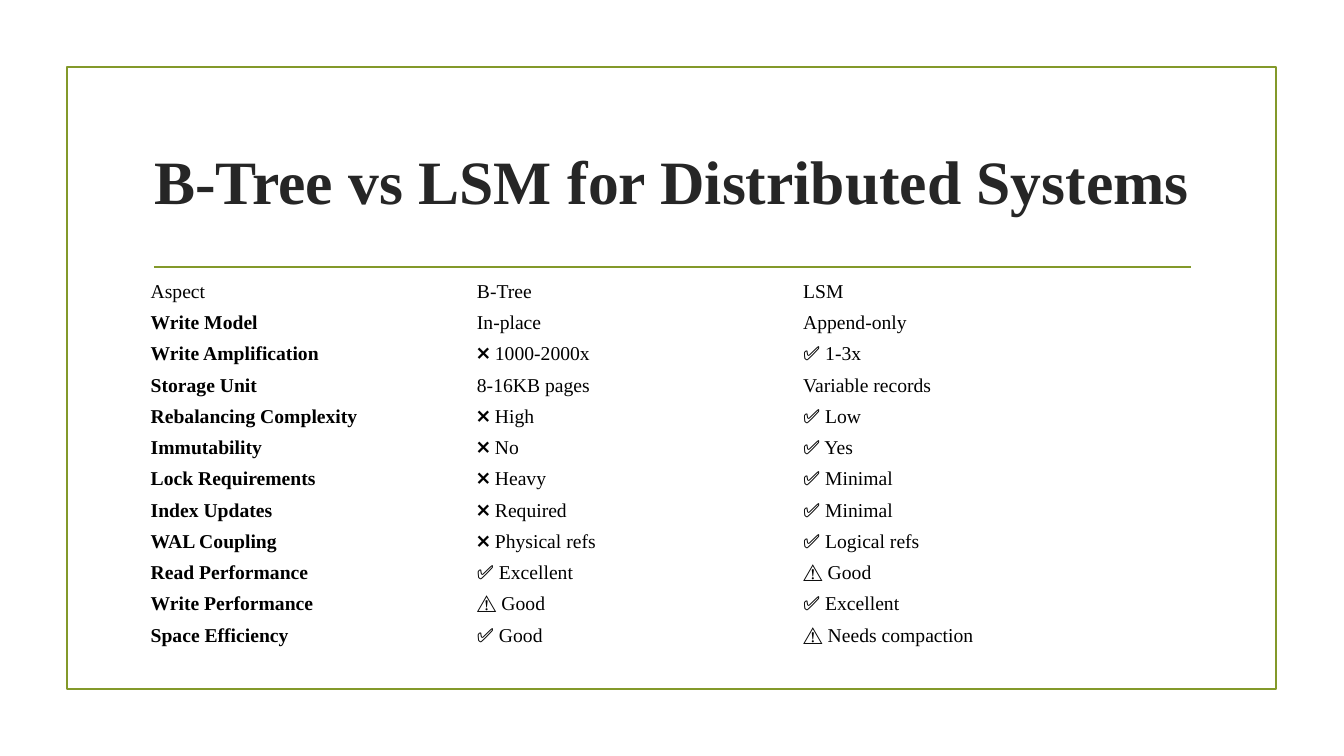
from pptx import Presentation
from pptx.dml.color import RGBColor
from pptx.enum import shapes, text
from pptx.oxml import ns, xmlchemy
from pptx.util import Pt

FONT = "Times New Roman"
GREEN, CHARCOAL, BLACK = "83992A", "262626", "000000"
TITLE = "B-Tree vs LSM for Distributed Systems"
COMPARISON = [
    ("Aspect", "B-Tree", "LSM"),
    ("Write Model", "In-place", "Append-only"),
    ("Write Amplification", "❌ 1000-2000x", "✅ 1-3x"),
    ("Storage Unit", "8-16KB pages", "Variable records"),
    ("Rebalancing Complexity", "❌ High", "✅ Low"),
    ("Immutability", "❌ No", "✅ Yes"),
    ("Lock Requirements", "❌ Heavy", "✅ Minimal"),
    ("Index Updates", "❌ Required", "✅ Minimal"),
    ("WAL Coupling", "❌ Physical refs", "✅ Logical refs"),
    ("Read Performance", "✅ Excellent", "⚠️ Good"),
    ("Write Performance", "⚠️ Good", "✅ Excellent"),
    ("Space Efficiency", "✅ Good", "⚠️ Needs compaction"),
]
LEFT, TABLE_TOP = 102.24, 197.28
COLUMN_WIDTH, ROW_HEIGHT = 233.04, 22.32


def color(hex_code):
    return RGBColor.from_string(hex_code)


def write(frame, content, size=14, bold=False, ink=BLACK, align=text.PP_ALIGN.LEFT):
    paragraph = frame.paragraphs[0]
    paragraph.alignment = align
    run = paragraph.add_run()
    run.text = content
    run.font.name = FONT
    run.font.size = Pt(size)
    run.font.bold = bold
    run.font.color.rgb = color(ink)


def outline(shape):
    shape.line.color.rgb = color(GREEN)
    shape.line.width = Pt(1.25)


def add_frame(slide):
    frame = slide.shapes.add_shape(
        shapes.MSO_SHAPE.RECTANGLE, Pt(47.7), Pt(48), Pt(864), Pt(444))
    frame.shadow.inherit = False
    frame.fill.background()
    outline(frame)


def add_rule(slide):
    rule = slide.shapes.add_connector(
        shapes.MSO_CONNECTOR.STRAIGHT, Pt(110), Pt(190.8), Pt(850.5), Pt(190.8))
    outline(rule)
    rule._element.spPr.append(xmlchemy.OxmlElement("a:effectLst"))


def add_title(slide):
    box = slide.shapes.add_textbox(Pt(LEFT), Pt(77), Pt(756), Pt(103))
    box.text_frame.word_wrap = True
    box.text_frame.vertical_anchor = text.MSO_ANCHOR.MIDDLE
    write(box.text_frame, TITLE, size=44, bold=True, ink=CHARCOAL,
          align=text.PP_ALIGN.CENTER)


def add_comparison(slide):
    rows, columns = len(COMPARISON), len(COMPARISON[0])
    table = slide.shapes.add_table(
        rows, columns, Pt(LEFT), Pt(TABLE_TOP),
        Pt(columns * COLUMN_WIDTH), Pt(rows * ROW_HEIGHT)).table
    table.first_row = table.horz_banding = False
    # "No Style, No Grid" keeps the cells free of borders
    style = table._tbl.tblPr.find(ns.qn("a:tableStyleId"))
    style.text = "{2D5ABB26-0587-4C30-8999-92F81FD0307C}"
    for row_index, values in enumerate(COMPARISON):
        table.rows[row_index].height = Pt(ROW_HEIGHT)
        for column_index, value in enumerate(values):
            cell = table.cell(row_index, column_index)
            cell.fill.background()
            cell.vertical_anchor = text.MSO_ANCHOR.MIDDLE
            cell.margin_left = cell.margin_right = Pt(5.4)
            cell.margin_top = cell.margin_bottom = Pt(2.7)
            write(cell.text_frame, value, bold=row_index > 0 and column_index == 0)


def main():
    presentation = Presentation()
    presentation.slide_width, presentation.slide_height = Pt(960), Pt(540)
    slide = presentation.slides.add_slide(presentation.slide_layouts[6])
    add_frame(slide)
    add_rule(slide)
    add_title(slide)
    add_comparison(slide)
    presentation.save("out.pptx")


if __name__ == "__main__":
    main()
